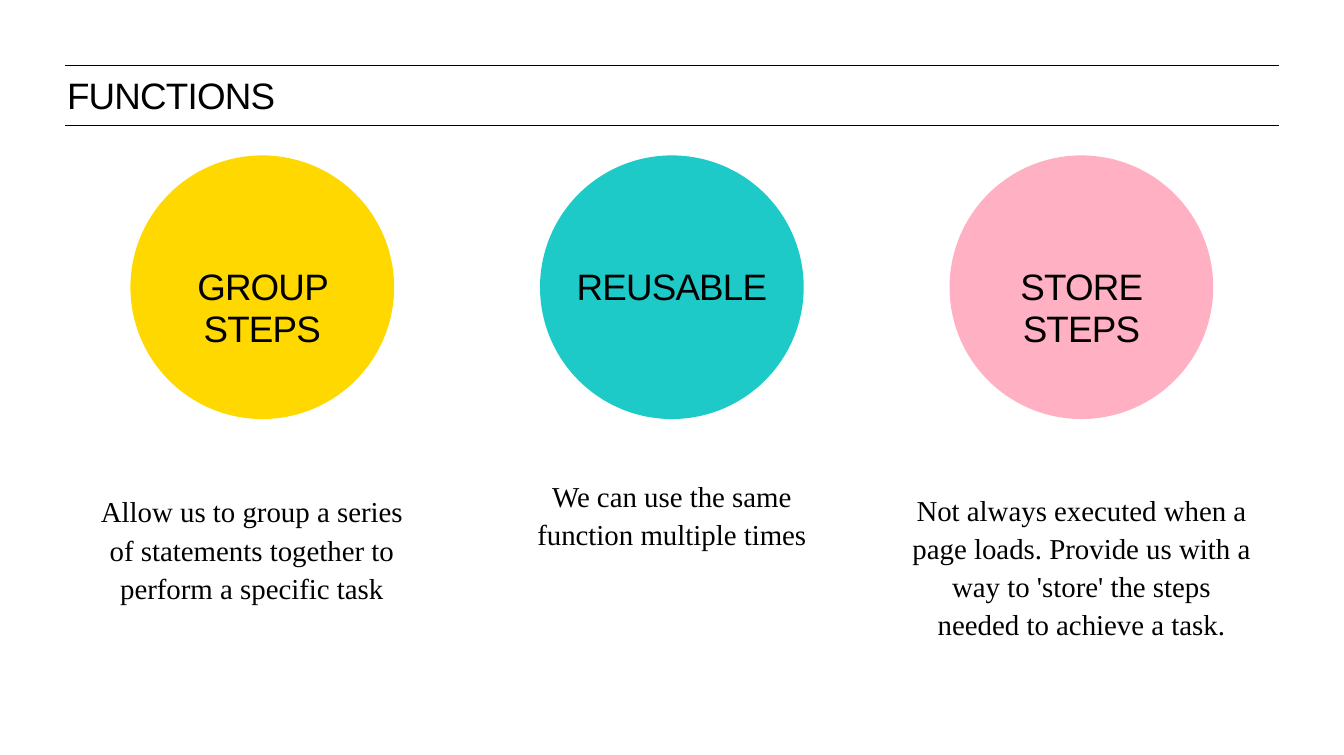
"""Builds the slide about what functions are for."""
from dataclasses import dataclass

from lxml.etree import SubElement
from pptx import Presentation
from pptx.dml.color import RGBColor
from pptx.enum.shapes import MSO_CONNECTOR, MSO_SHAPE
from pptx.enum.text import MSO_ANCHOR as Anchor, MSO_AUTO_SIZE as AutoSize, PP_ALIGN as Align
from pptx.oxml.ns import qn
from pptx.slide import Slide
from pptx.text.text import TextFrame
from pptx.util import Pt

BLACK = RGBColor(0x00, 0x00, 0x00)
YELLOW = RGBColor(0xFF, 0xD8, 0x00)
TEAL = RGBColor(0x1E, 0xCA, 0xC7)
PINK = RGBColor(0xFF, 0xB0, 0xC3)

RULE_LEFT, RULE_RIGHT = 49.7, 974.2
RULE_TOPS = (49.7, 95.8)
FIRST_CENTER, COLUMN_PITCH = 199.8, 312
CIRCLE_TOP, CIRCLE_SIZE = 118.4, 200.9
LABEL_TOP, LABEL_WIDTH, LABEL_HEIGHT = 202.3, 165.6, 32.4
NOTE_TOP, NOTE_INSET = 363, 4.3


@dataclass
class Benefit:
    label: str
    color: RGBColor
    note: str
    note_width: float
    note_height: float
    note_shift: float = 0


BENEFITS = (
    Benefit("GROUP STEPS", YELLOW,
            "Allow us to group a series of statements together to perform a specific task",
            241.2, 108.7, -8),
    Benefit("REUSABLE", TEAL, "We can use the same function multiple times", 257, 56.2),
    Benefit("STORE STEPS", PINK,
            "Not always executed when a page loads. Provide us with a way to 'store' "
            "the steps needed to achieve a task.", 267.8, 135.4),
)


def fill_frame(frame: TextFrame, text: str, inset: float, anchor: Anchor, align: Align) -> None:
    frame.word_wrap = True
    frame.auto_size = AutoSize.SHAPE_TO_FIT_TEXT
    frame.vertical_anchor = anchor
    frame.margin_left = frame.margin_right = Pt(inset)
    frame.margin_top = frame.margin_bottom = Pt(inset)
    para = frame.paragraphs[0]
    para.text = text
    para.alignment = align
    para.space_before = Pt(0)
    para.font.color.rgb = BLACK


def write_heading(frame: TextFrame, text: str, align: Align) -> None:
    fill_frame(frame, text, 0, Anchor.TOP, align)
    para = frame.paragraphs[0]
    para.line_spacing = Pt(32)
    para.font.name = "Arial"
    para.font.size = Pt(28)
    for span in para.runs:
        span._r.get_or_add_rPr().set("spc", "-60")


def write_note(frame: TextFrame, text: str) -> None:
    fill_frame(frame, text, NOTE_INSET, Anchor.MIDDLE, Align.CENTER)
    para = frame.paragraphs[0]
    para.line_spacing = 1.1
    para.font.name = "Times New Roman"
    para.font.size = Pt(22)


def draw_rule(page: Slide, top: float) -> None:
    rule = page.shapes.add_connector(
        MSO_CONNECTOR.STRAIGHT, Pt(RULE_LEFT), Pt(top), Pt(RULE_RIGHT), Pt(top))
    rule.line.color.rgb = BLACK
    rule.line.width = Pt(1)
    SubElement(rule._element.spPr, qn("a:effectLst"))


def add_frame(page: Slide, center: float, top: float, width: float, height: float) -> TextFrame:
    box = page.shapes.add_textbox(Pt(center - width / 2), Pt(top), Pt(width), Pt(height))
    return box.text_frame


def draw_benefit(page: Slide, benefit: Benefit, center: float) -> None:
    circle = page.shapes.add_shape(
        MSO_SHAPE.OVAL, Pt(center - CIRCLE_SIZE / 2), Pt(CIRCLE_TOP),
        Pt(CIRCLE_SIZE), Pt(CIRCLE_SIZE))
    circle.shadow.inherit = False
    circle.fill.solid()
    circle.fill.fore_color.rgb = benefit.color
    circle.line.fill.background()
    label = add_frame(page, center, LABEL_TOP, LABEL_WIDTH, LABEL_HEIGHT)
    write_heading(label, benefit.label, Align.CENTER)
    note = add_frame(page, center + benefit.note_shift, NOTE_TOP,
                     benefit.note_width, benefit.note_height)
    write_note(note, benefit.note)


def main() -> None:
    deck = Presentation()
    deck.slide_width, deck.slide_height = Pt(1023.84), Pt(575.28)
    page = deck.slides.add_slide(deck.slide_layouts[5])
    for top in RULE_TOPS:
        draw_rule(page, top)
    title = page.shapes.title
    title.left, title.top, title.width, title.height = Pt(51.1), Pt(56.9), Pt(607.7), Pt(32.4)
    write_heading(title.text_frame, "FUNCTIONS", Align.LEFT)
    for column, benefit in enumerate(BENEFITS):
        draw_benefit(page, benefit, FIRST_CENTER + column * COLUMN_PITCH)
    deck.save("out.pptx")


if __name__ == "__main__":
    main()
